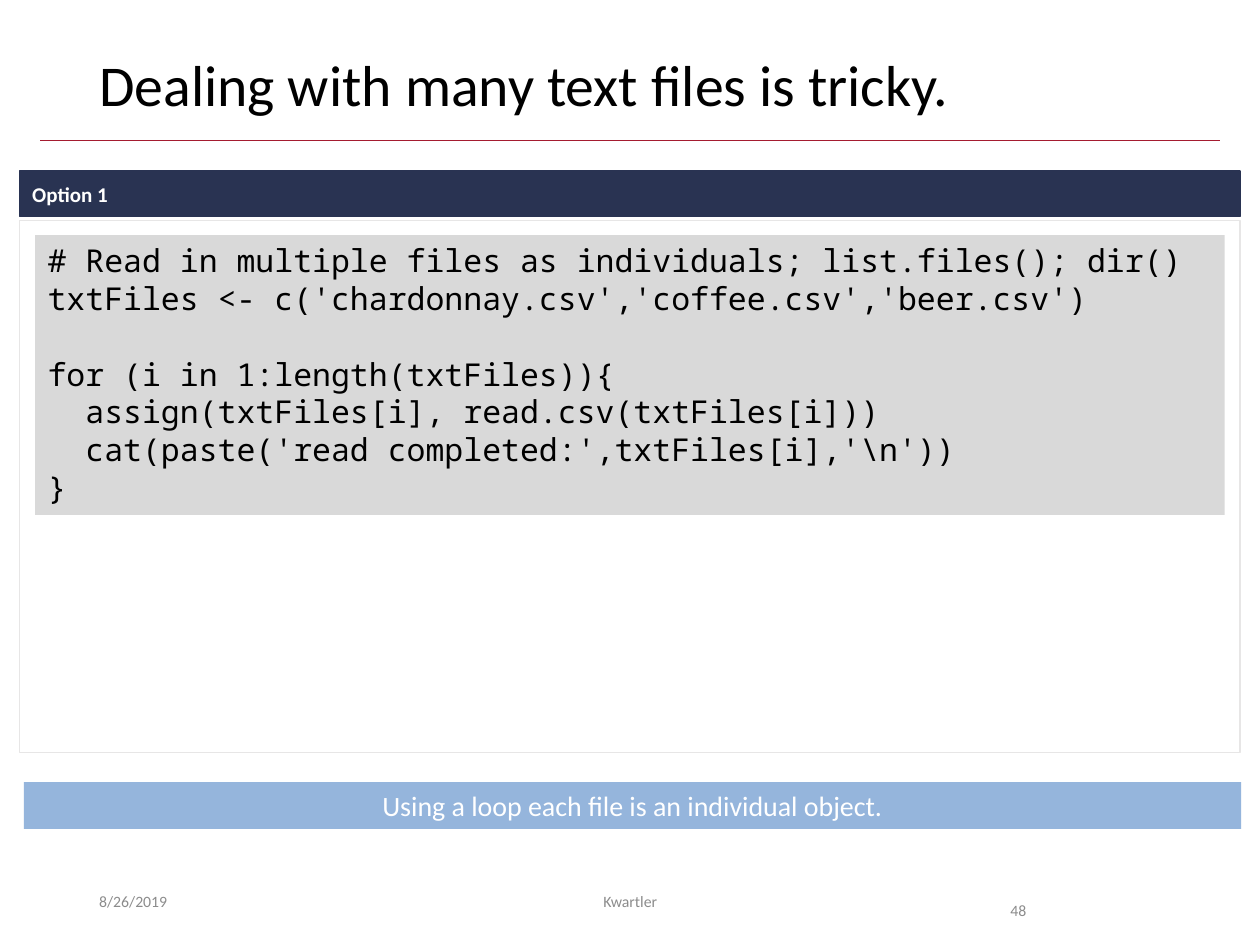
from dataclasses import dataclass
from typing import Optional

from lxml import etree
from pptx import Presentation
from pptx.dml.color import RGBColor
from pptx.enum.shapes import MSO_CONNECTOR, MSO_SHAPE
from pptx.enum.text import MSO_ANCHOR, PP_ALIGN
from pptx.oxml.ns import qn
from pptx.util import Cm, Pt

RECT = MSO_SHAPE.RECTANGLE
STRAIGHT = MSO_CONNECTOR.STRAIGHT
TOP, MIDDLE = MSO_ANCHOR.TOP, MSO_ANCHOR.MIDDLE
LEFT, CENTER = PP_ALIGN.LEFT, PP_ALIGN.CENTER
SANS, MONO = "Calibri", "Noto Sans Mono"
GRAY, WHITE, BLACK, NAVY = "8C8C8C", "FFFFFF", "000000", "293352"
FOOT_TOP, FOOT_HEIGHT = 17.65, 1.02
CODE = r"""# Read in multiple files as individuals; list.files(); dir()
txtFiles <- c('chardonnay.csv','coffee.csv','beer.csv')

for (i in 1:length(txtFiles)){
  assign(txtFiles[i], read.csv(txtFiles[i]))
  cat(paste('read completed:',txtFiles[i],'\n'))
}"""


@dataclass
class Box:
    """A block of text, with an optional filled rectangle; lengths in cm."""
    left: float
    top: float
    width: float
    height: float
    text: str = ""
    size: float = 9
    color: str = GRAY
    font: str = SANS
    bold: bool = False
    align: PP_ALIGN = LEFT
    anchor: MSO_ANCHOR = TOP
    spacing: Optional[float] = None
    fill: Optional[str] = None
    line: Optional[str] = None


BOXES = [
    Box(1.75, FOOT_TOP, 5.72, FOOT_HEIGHT, "8/26/2019", anchor=MIDDLE),
    Box(1.75, 1.02, 21.9, 1.65, "Dealing with many text files is tricky.", 33, BLACK,
        spacing=0.9),
    Box(8.41, FOOT_TOP, 8.59, FOOT_HEIGHT, "Kwartler", align=CENTER, anchor=MIDDLE),
    Box(20.12, FOOT_TOP, 2.39, FOOT_HEIGHT, "48", spacing=2.0),
    Box(0.4, 4.45, 24.6, 10.72, fill=WHITE, line="E7E6E6"),
    Box(0.4, 3.45, 24.6, 0.92, "Option 1", 12, WHITE, bold=True, anchor=MIDDLE,
        fill=NAVY, line=NAVY),
    Box(0.71, 4.74, 23.98, 5.64, CODE, 18, BLACK, MONO, fill="D9D9D9"),
    Box(0.48, 15.77, 24.54, 0.94, "Using a loop each file is an individual object.",
        16, WHITE, align=CENTER, fill="95B5DC"),
]


def rgb(value: str) -> RGBColor:
    """Turn a hex string into a colour."""
    return RGBColor.from_string(value)


def write(tf, box: Box) -> None:
    """Fill a text frame and format its runs."""
    tf.word_wrap = True
    tf.vertical_anchor = box.anchor
    tf.text = box.text
    for p in tf.paragraphs:
        p.alignment = box.align
        if box.spacing:
            p.line_spacing = box.spacing
        for r in p.runs:
            r.font.name = box.font
            r.font.size = Pt(box.size)
            r.font.bold = box.bold
            r.font.color.rgb = rgb(box.color)


def draw_box(s, box: Box) -> None:
    """Draw a text box, or a rectangle where a fill is given."""
    place = [Cm(v) for v in (box.left, box.top, box.width, box.height)]
    if box.fill:
        sp = s.shapes.add_shape(RECT, *place)
        sp.shadow.inherit = False
        sp.fill.solid()
        sp.fill.fore_color.rgb = rgb(box.fill)
        if box.line:
            sp.line.color.rgb = rgb(box.line)
            sp.line.width = Pt(0.75)
        else:
            sp.line.fill.background()
    else:
        sp = s.shapes.add_textbox(*place)
    if box.text:
        write(sp.text_frame, box)


def draw_rule(s, left: float, right: float, top: float, color: str) -> None:
    """Draw the thin line under the title."""
    rule = s.shapes.add_connector(STRAIGHT, Cm(left), Cm(top), Cm(right), Cm(top))
    rule.line.color.rgb = rgb(color)
    rule.line.width = Pt(0.5)
    etree.SubElement(rule._element.spPr, qn("a:effectLst"))


def main() -> None:
    """Build the slide and save it."""
    prs = Presentation()
    prs.slide_width, prs.slide_height = Cm(25.4), Cm(19.05)
    s = prs.slides.add_slide(prs.slide_layouts[6])
    draw_rule(s, 0.81, 24.59, 2.84, "A51C30")
    for box in BOXES:
        draw_box(s, box)
    prs.save("out.pptx")


if __name__ == "__main__":
    main()
